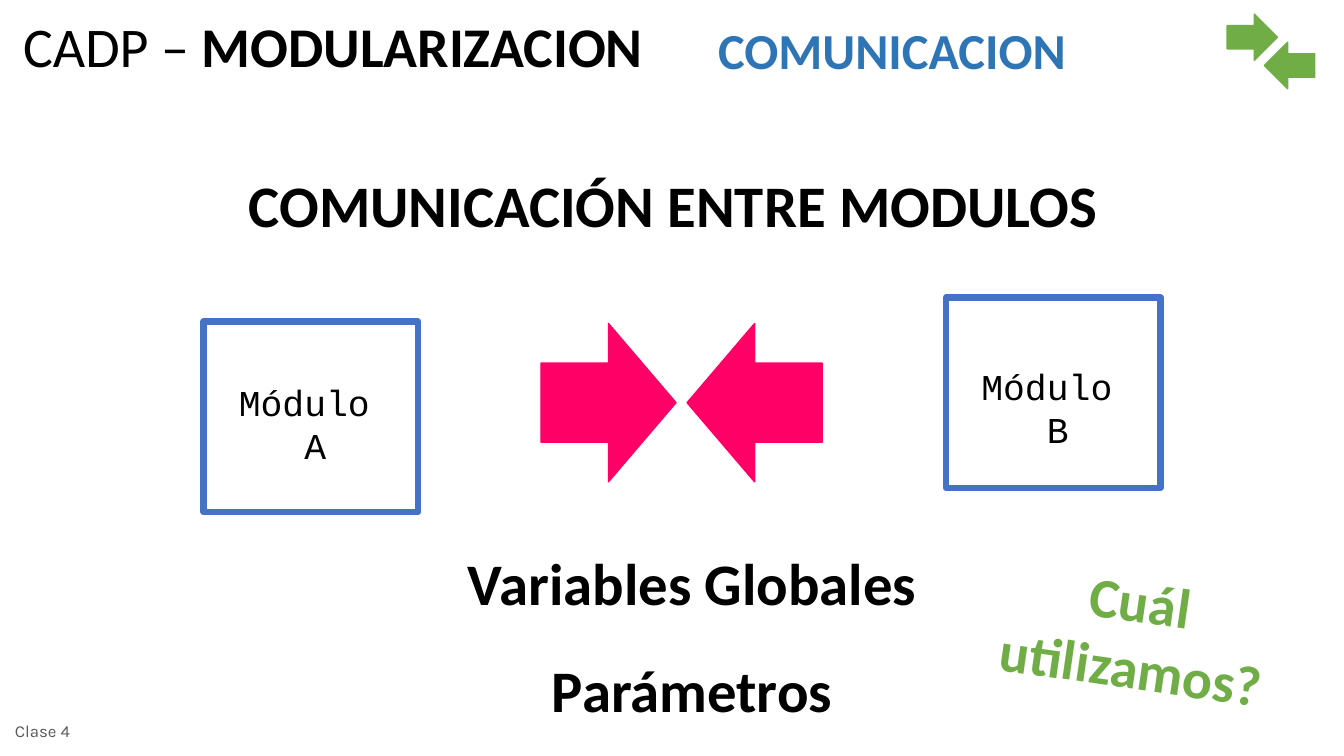
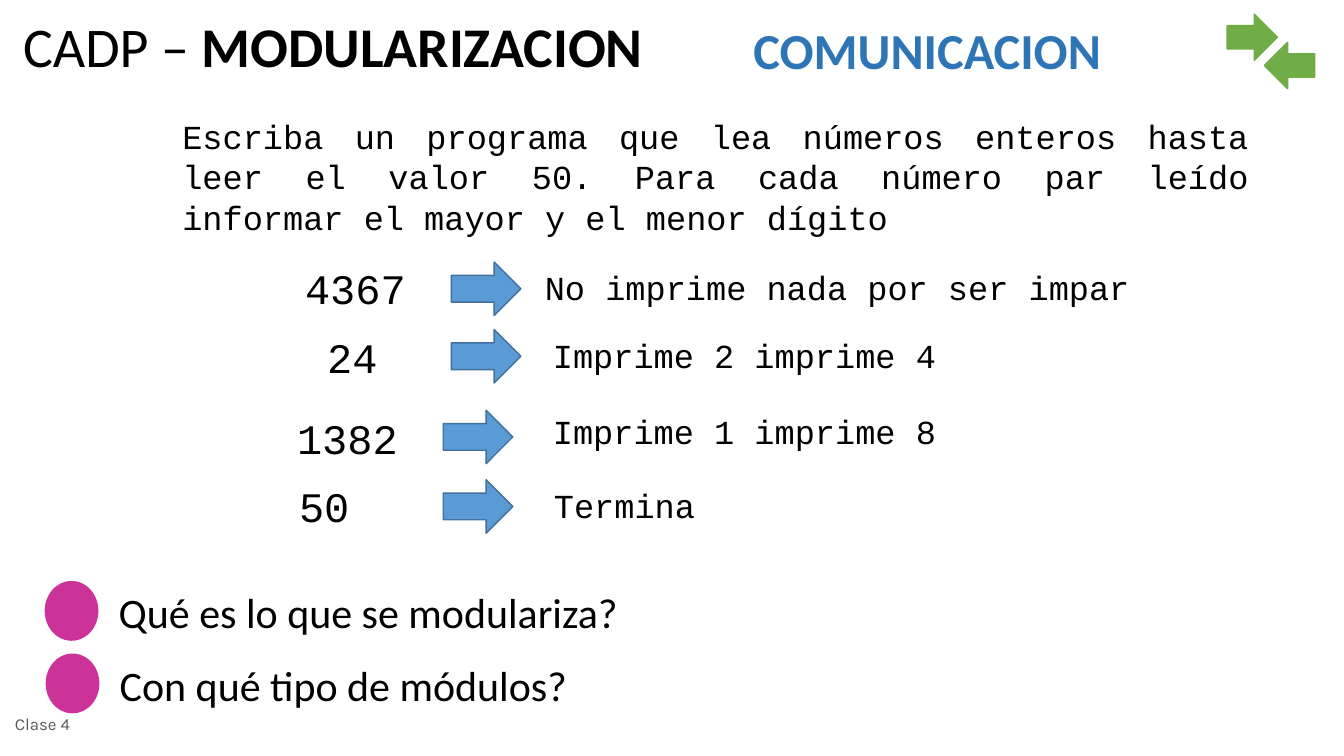
from dataclasses import dataclass

from pptx import Presentation
from pptx.dml.color import RGBColor
from pptx.enum import shapes, text
from pptx.util import Inches, Pt

SHAPE = shapes.MSO_SHAPE
ALIGN = text.PP_ALIGN


@dataclass(frozen=True)
class Theme:
    sans: str = "Calibri"
    mono: str = "Courier New"
    footer_font: str = "Karla"
    black: str = "000000"
    grey: str = "595959"
    heading_blue: str = "2E75B6"
    box_blue: str = "4472C4"
    arrow_blue: str = "5B9BD5"
    arrow_edge: str = "41719C"
    green: str = "70AD47"
    pink: str = "FF0066"
    magenta: str = "CC3399"
    display: int = 42
    title: int = 40
    heading: int = 36
    large: int = 30
    module: int = 26
    body: int = 24
    footer: int = 12


T = Theme()


def add_text(s, box, lines, size, font=T.sans, color=T.black, bold=False,
             align=ALIGN.LEFT, wrap=True, gap=0):
    """Add a text box with one paragraph per line, gap points apart."""
    sp = s.shapes.add_textbox(*map(Inches, box))
    tf = sp.text_frame
    tf.word_wrap = wrap
    for i, line in enumerate(lines):
        p = tf.add_paragraph() if i else tf.paragraphs[0]
        p.alignment = align
        if i and gap:
            p.space_before = Pt(gap)
        r = p.add_run()
        r.text = line
        r.font.name, r.font.size, r.font.bold = font, Pt(size), bold
        r.font.color.rgb = RGBColor.from_string(color)
    return sp


def add_shape(s, kind, box, fill, line, width=1, rotation=0):
    sp = s.shapes.add_shape(kind, *map(Inches, box))
    sp.shadow.inherit = False
    sp.rotation = rotation
    if fill:
        sp.fill.solid()
        sp.fill.fore_color.rgb = RGBColor.from_string(fill)
    else:
        sp.fill.background()
    sp.line.color.rgb = RGBColor.from_string(line)
    sp.line.width = Pt(width)


prs = Presentation()
prs.slide_width, prs.slide_height = Inches(13.34), Inches(7.5)

# Shared frame: title, topic, arrow emblem and footer
slides = []
for title_width, topic_left, topic_width, footer_top in (
        (6.77, 7.03, 4.41, 7.05), (9.77, 7.38, 4.07, 6.98)):
    s = prs.slides.add_slide(prs.slide_layouts[5])
    slides.append(s)

    title = s.shapes.title
    title.left, title.top = Inches(0.13), Inches(0.14)
    title.width, title.height = Inches(title_width), Inches(0.76)
    tf = title.text_frame
    tf.auto_size = text.MSO_AUTO_SIZE.NONE
    tf.vertical_anchor = text.MSO_ANCHOR.TOP
    p = tf.paragraphs[0]
    p.alignment, p.line_spacing = ALIGN.LEFT, 0.9
    for words, bold in (("CADP – ", False), ("MODULARIZACION", True)):
        r = p.add_run()
        r.text = words
        r.font.name, r.font.size, r.font.bold = T.sans, Pt(T.title), bold
        r.font.color.rgb = RGBColor.from_string(T.black)

    add_text(s, (topic_left, 0.14, topic_width, 0.7), ["COMUNICACION"],
             T.heading, color=T.heading_blue, bold=True)
    for left, top, rotation in ((12.18, 0.14, 0), (12.55, 0.42, 180)):
        add_shape(s, SHAPE.RIGHT_ARROW, (left, top, 0.5, 0.46),
                  T.green, T.green, rotation=rotation)
    footer = add_text(s, (0.05, footer_top, 2.33, 0.4), ["Clase 4"],
                      T.footer, T.footer_font, T.grey)
    footer.text_frame.vertical_anchor = text.MSO_ANCHOR.MIDDLE

modules_slide, exercise_slide = slides

# Slide 1: communication between modules
s = modules_slide
add_text(s, (2.37, 1.62, 8.8, 0.8), ["COMUNICACIÓN ENTRE MODULOS"],
         T.display, bold=True)
for left, rotation in ((5.37, 0), (6.82, 180)):
    add_shape(s, SHAPE.RIGHT_ARROW, (left, 3.21, 1.34, 1.57),
              T.pink, T.pink, rotation=rotation)
for name, left, top, label_top in (("A", 2.02, 3.19, 3.72),
                                   ("B", 9.39, 2.95, 3.56)):
    add_shape(s, SHAPE.RECTANGLE, (left, top, 2.13, 1.89),
              None, T.box_blue, width=4.5)
    add_text(s, (left + 0.25, label_top, 1.72, 0.97), ["Módulo ", name],
             T.module, T.mono, align=ALIGN.CENTER, wrap=False)
add_text(s, (4.3, 5.37, 5.14, 1.87), ["Variables Globales", "Parámetros"],
         T.display, bold=True, align=ALIGN.CENTER, gap=26.2)
question = add_text(s, (9.75, 5.57, 3.05, 1.44), ["Cuál utilizamos?"],
                    T.title, color=T.green, bold=True, align=ALIGN.CENTER)
question.rotation = 8.3

# Slide 2: exercise, sample inputs and questions
s = exercise_slide
statement = add_text(
    s, (1.31, 1.1, 11.18, 1.3),
    ["Escriba un programa que lea números enteros hasta leer el valor 50. "
     "Para cada número par leído informar el mayor y el menor dígito"],
    T.body, T.mono, align=ALIGN.JUSTIFY)
statement.text_frame.margin_left = Inches(0.5)

samples = (
    # number, left, top; arrow left, top; result, left, top
    ("4367", 2.93, 2.56, 4.48, 2.6, "No imprime nada por ser impar", 5.31, 2.6),
    ("24", 3.15, 3.24, 4.48, 3.27, "Imprime 2 imprime 4", 5.39, 3.27),
    ("1382", 2.85, 4.04, 4.4, 4.07, "Imprime 1 imprime 8", 5.39, 4.03),
    ("50", 2.87, 4.72, 4.4, 4.76, "Termina", 5.4, 4.76),
)
for number, nx, ny, ax, ay, result, rx, ry in samples:
    # Monospaced glyphs are 0.6 em wide; the insets add 0.2 inches
    number_width = 0.2 + len(number) * 0.6 * T.large / 72
    result_width = 0.2 + len(result) * 0.6 * T.body / 72
    add_text(s, (nx, ny, number_width, 0.6), [number],
             T.large, T.mono, wrap=False)
    add_shape(s, SHAPE.RIGHT_ARROW, (ax, ay, 0.69, 0.53),
              T.arrow_blue, T.arrow_edge)
    add_text(s, (rx, ry, result_width, 0.5), [result],
             T.body, T.mono, wrap=False)

for words, left, top in (("Qué es lo que se modulariza?", 0.45, 5.77),
                         ("Con qué tipo de módulos?", 0.46, 6.49)):
    add_shape(s, SHAPE.OVAL, (left, top, 0.52, 0.58), T.magenta, T.magenta)
    add_text(s, (left + 0.63, top, 5.51, 0.6), [words], T.large)

prs.save("out.pptx")
